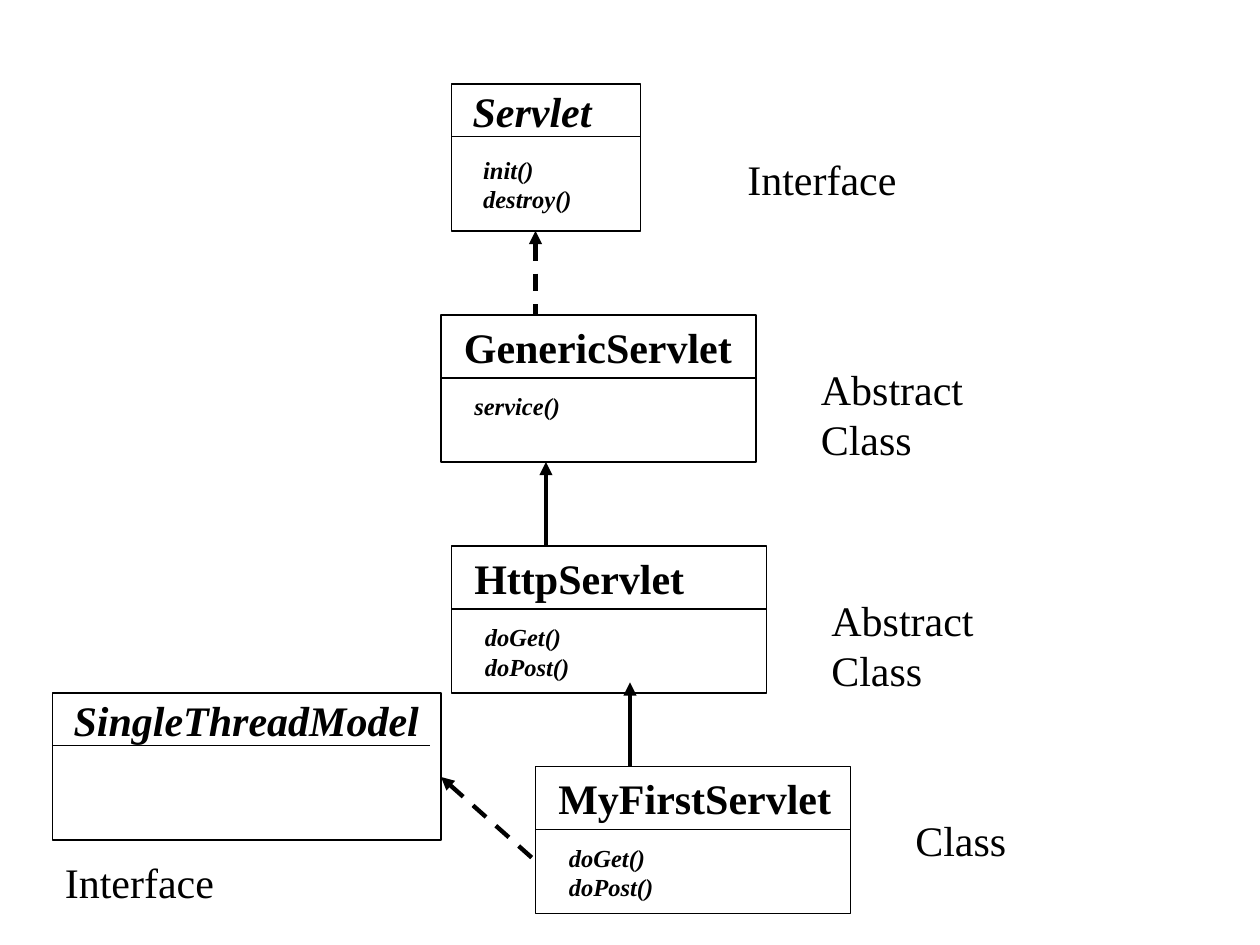
from pptx import Presentation
from pptx.dml.color import RGBColor
from pptx.enum.dml import MSO_LINE
from pptx.enum.shapes import MSO_CONNECTOR, MSO_SHAPE
from pptx.enum.text import MSO_AUTO_SIZE
from pptx.oxml.ns import qn
from pptx.util import Pt
from lxml.etree import SubElement

# Content, with all lengths in points.
# kind, name, name width, (left, top, width), divider width,
# methods, methods width, label, (label left, label top)
CLASSES = [
    ("interface", "Servlet", 84, (258, 48, 108), 108,
     ["init()", "destroy()"], 66, "Interface", (420, 84)),
    ("class", "GenericServlet", 169, (252, 180, 180), 180,
     ["service()"], 66, "Abstract Class", (462, 204)),
    ("class", "HttpServlet", 136, (258, 312, 180), 180,
     ["doGet()", "doPost()"], 66, "Abstract Class", (468, 336)),
    ("class", "MyFirstServlet", 172, (306, 438, 180), 180,
     ["doGet()", "doPost()"], 66, "Class", (516, 462)),
    ("interface", "SingleThreadModel", 213, (30, 396, 222), 216,
     [], 0, "Interface", (30, 486)),
]
# parent end, child end, dashed
ARROWS = [
    ((306, 132), (306, 180), True),
    ((312, 264), (312, 312), False),
    ((360, 390), (360, 438), False),
    ((252, 444), (306, 492), True),
]
# Offsets from the box corner
LAYOUT = {
    "interface": {"name": (5, -2.5), "divider": 30, "methods": (11, 37)},
    "class": {"name": (6, 0), "divider": 36, "methods": (12, 40)},
}
BOX_HEIGHT = 84
LABEL_WIDTH = 108
THEME = {
    "font": "Times New Roman", "ink": RGBColor(0, 0, 0),
    "large": 24, "small": 14, "thin": 0.75, "thick": 2.5, "label_gap": 15,
}


def add_text(s, lines, left, top, width, size, bold=False, italic=False,
             wrap=False, before=0):
    height = len(lines) * size * 1.2 + 7.2
    tf = s.shapes.add_textbox(Pt(left), Pt(top), Pt(width), Pt(height)).text_frame
    tf.word_wrap = wrap
    tf.auto_size = MSO_AUTO_SIZE.SHAPE_TO_FIT_TEXT
    tf.text = "\n".join(lines)
    for p in tf.paragraphs:
        p.space_before = Pt(before)
        p.font.name = THEME["font"]
        p.font.size = Pt(size)
        p.font.bold = bold
        p.font.italic = italic
        p.font.color.rgb = THEME["ink"]


def add_line(s, start, end, width):
    line = s.shapes.add_connector(MSO_CONNECTOR.STRAIGHT,
                                  *(Pt(v) for v in (*start, *end)))
    line.line.color.rgb = THEME["ink"]
    line.line.width = Pt(width)
    SubElement(line._element.spPr, qn("a:effectLst"))
    return line


def add_arrow(s, parent, child, dashed):
    arrow = add_line(s, parent, child, THEME["thick"])
    if dashed:
        arrow.line.dash_style = MSO_LINE.DASH
    ln = arrow._element.spPr.find(qn("a:ln"))
    SubElement(ln, qn("a:headEnd"), type="triangle")


def add_class(s, kind, name, name_width, box, divider_width,
              methods, methods_width, label, label_at):
    left, top, width = box
    rule = LAYOUT[kind]

    # Frame and divider
    frame = s.shapes.add_shape(MSO_SHAPE.RECTANGLE, Pt(left), Pt(top),
                               Pt(width), Pt(BOX_HEIGHT))
    frame.shadow.inherit = False
    frame.fill.background()
    frame.line.color.rgb = THEME["ink"]
    frame.line.width = Pt(THEME["thin"])
    y = top + rule["divider"]
    add_line(s, (left, y), (left + divider_width, y), THEME["thin"])

    # Name, methods and the label beside the frame
    dx, dy = rule["name"]
    add_text(s, [name], left + dx, top + dy, name_width, THEME["large"],
             bold=True, italic=kind == "interface")
    if methods:
        dx, dy = rule["methods"]
        add_text(s, methods, left + dx, top + dy, methods_width, THEME["small"],
                 bold=True, italic=True)
    add_text(s, [label], *label_at, LABEL_WIDTH, THEME["large"],
             wrap=True, before=THEME["label_gap"])


def main():
    prs = Presentation()
    prs.slide_width, prs.slide_height = Pt(720), Pt(540)
    s = prs.slides.add_slide(prs.slide_layouts[6])
    for entry in CLASSES:
        add_class(s, *entry)
    for arrow in ARROWS:
        add_arrow(s, *arrow)
    prs.save("out.pptx")


if __name__ == "__main__":
    main()
